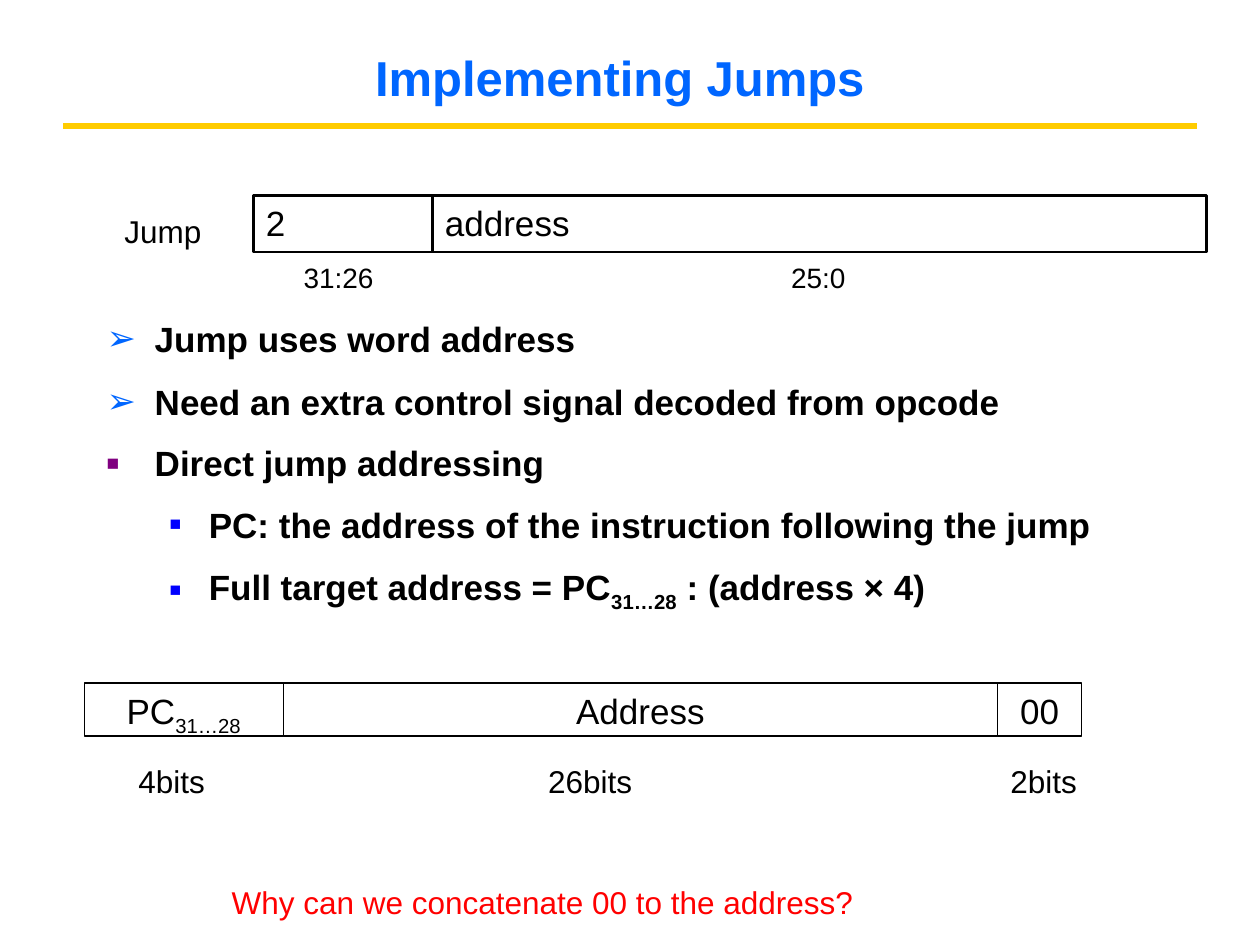
"""Builds the slide on jump instruction formats and target addresses."""
from lxml import etree
from pptx import Presentation, util as u
from pptx.dml.color import RGBColor
from pptx.enum import shapes, text
from pptx.oxml.ns import qn

BLACK = RGBColor(0, 0, 0)
RED = RGBColor(0xFF, 0, 0)
SKY = RGBColor(0, 0x66, 0xFF)
BLUE = RGBColor(0, 0, 0xFF)
PLUM = RGBColor(0x80, 0, 0x80)
GOLD = RGBColor(0xFF, 0xCC, 0)
LEFT, MID = text.PP_ALIGN.LEFT, text.PP_ALIGN.CENTER

TITLE = "Implementing Jumps"
ARROW = ("➢", SKY, 100, 0, 6)
MAIN = ("■", PLUM, 60, 0, 5)
SUB = ("■", BLUE, 55, 1, 5)
POINTS = [
    (ARROW, "Jump uses word address"),
    (ARROW, "Need an extra control signal decoded from opcode"),
    (MAIN, "Direct jump addressing"),
    (SUB, "PC: the address of the instruction following the jump"),
    (SUB, "Full target address = PC|31…28| : (address × 4)"),
]
INDENT = [(0.97, 0.97), (2.06, 0.79)]
ROWS = [
    (5.11, 3.94, 1.14, 1.5, LEFT, [("2", 3.61), ("address", 15.6)]),
    (1.7, 13.77, 1.07, 0.75, MID,
     [("PC|31…28", 4.01), ("Address", 14.4), ("00", 1.7)]),
]
LABELS = [
    ("Jump", 2.26, 4.14, 2.06, 18, BLACK),
    ("31:26", 5.87, 5.13, 1.93, 16, BLACK),
    ("25:0", 15.7, 5.13, 1.8, 16, BLACK),
    ("4bits", 2.54, 15.24, 2.31, 18, BLACK),
    ("26bits", 10.8, 15.24, 2.79, 18, BLACK),
    ("2bits", 20.12, 15.24, 2.31, 18, BLACK),
    ("Why can we concatenate 00 to the address?", 4.42, 17.68, 17.4, 18, RED),
]


def write(para, words, size, color=BLACK, bold=False, align=LEFT):
    """Fill a paragraph; every second part between bars is a subscript."""
    para.alignment = align
    font = para.font
    font.name, font.size, font.bold = "Arial", u.Pt(size), bold
    font.color.rgb = color
    for i, part in enumerate(words.split("|")):
        run = para.add_run()
        run.text = part
        if i % 2:
            run._r.get_or_add_rPr().set("baseline", "-25000")


def mark(para, sign, color, scale, level):
    """Give a paragraph its bullet and hanging indent."""
    props = para._p.get_or_add_pPr()
    left, hang = INDENT[level]
    props.set("marL", str(u.Cm(left)))
    props.set("indent", str(-u.Cm(hang)))
    tint = etree.SubElement(props, qn("a:buClr"))
    etree.SubElement(tint, qn("a:srgbClr"), val=str(color))
    etree.SubElement(props, qn("a:buSzPct"), val=str(scale * 1000))
    etree.SubElement(props, qn("a:buFont"), typeface="Arial")
    etree.SubElement(props, qn("a:buChar"), char=sign)


def label(x, y, wide, high):
    """Add an empty text box and return its frame."""
    box = slide.shapes.add_textbox(u.Cm(x), u.Cm(y), u.Cm(wide), u.Cm(high))
    return box.text_frame


deck = Presentation()
deck.slide_width, deck.slide_height = u.Cm(25.4), u.Cm(19.05)
slide = deck.slides.add_slide(deck.slide_layouts[5])

head = slide.shapes.title
head.left, head.top = u.Cm(0.43), u.Cm(0.76)
head.width, head.height = u.Cm(24.13), u.Cm(1.57)
head.text_frame.vertical_anchor = text.MSO_ANCHOR.MIDDLE
write(head.text_frame.paragraphs[0], TITLE, 28, SKY, True, MID)

rule = slide.shapes.add_connector(
    shapes.MSO_CONNECTOR.STRAIGHT, u.Cm(1.27), u.Cm(2.54), u.Cm(24.13), u.Cm(2.54))
rule.line.color.rgb, rule.line.width = GOLD, u.Pt(3)
etree.SubElement(rule._element.spPr, qn("a:effectLst"))

body = label(1.9, 6.07, 22.99, 11.25)
body.word_wrap = True
for i, ((sign, color, scale, level, gap), words) in enumerate(POINTS):
    para = body.add_paragraph() if i else body.paragraphs[0]
    para.level, para.line_spacing, para.space_before = level, 1.25, u.Pt(gap)
    mark(para, sign, color, scale, level)
    write(para, words, 20, bold=True)

for x, y, high, line, align, cells in ROWS:
    for words, wide in cells:
        cell = slide.shapes.add_shape(
            shapes.MSO_SHAPE.RECTANGLE, u.Cm(x), u.Cm(y), u.Cm(wide), u.Cm(high))
        cell.shadow.inherit = False
        cell.fill.background()
        cell.line.color.rgb, cell.line.width = BLACK, u.Pt(line)
        cell.text_frame.vertical_anchor = text.MSO_ANCHOR.TOP
        cell.text_frame.word_wrap = True
        write(cell.text_frame.paragraphs[0], words, 20, align=align)
        x += wide

for words, x, y, wide, size, color in LABELS:
    frame = label(x, y, wide, 1)
    frame.word_wrap = False
    write(frame.paragraphs[0], words, size, color)

deck.save("out.pptx")
